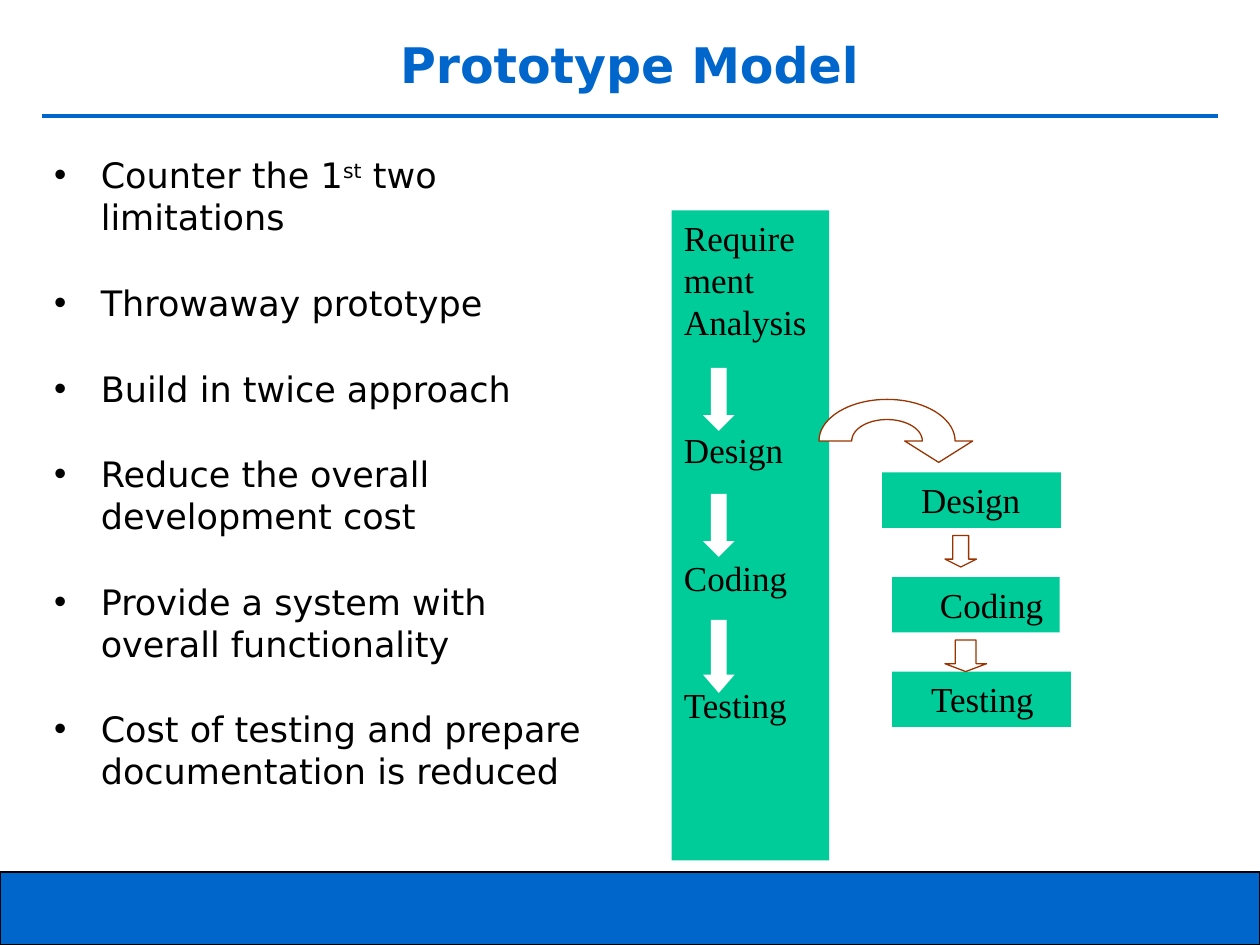
import math

import lxml.etree
import pptx
import pptx.dml.color
import pptx.enum.shapes
import pptx.enum.text
import pptx.oxml.ns
import pptx.util
from pptx.util import Inches, Pt

RGBColor = pptx.dml.color.RGBColor
Shape = pptx.enum.shapes.MSO_SHAPE
Align = pptx.enum.text.PP_ALIGN
Anchor = pptx.enum.text.MSO_ANCHOR

BLUE = RGBColor(0x00, 0x66, 0xCC)
GREEN = RGBColor(0x00, 0xCC, 0x99)
BROWN = RGBColor(0x99, 0x33, 0x00)
WHITE = RGBColor(0xFF, 0xFF, 0xFF)
BLACK = RGBColor(0x00, 0x00, 0x00)
HEADING_FONT = "DejaVu Sans"
DIAGRAM_FONT = "Times New Roman"

TITLE = "Prototype Model"
# Each bullet is a list of (text, is superscript) runs.
BULLETS = [
    [("Counter the 1", False), ("st", True), (" two limitations", False)],
    [("Throwaway prototype", False)],
    [("Build in twice approach", False)],
    [("Reduce the overall development cost", False)],
    [("Provide a system with overall functionality", False)],
    [("Cost of testing and prepare documentation is reduced", False)],
]
# Boxes: left, top, width, height, left inset, lines of text.
BOXES = [
    (5.33, 1.67, 1.25, 5.16, 0.1,
     ["Requirement Analysis", "Design", "Coding", "Testing"]),
    (7, 3.75, 1.42, 0.44, 0.31, ["Design"]),
    (7.08, 4.58, 1.33, 0.44, 0.38, ["Coding"]),
    (7.08, 5.33, 1.42, 0.44, 0.31, ["Testing"]),
]
# Down arrows: left, top, width, height, head length / width, outline.
ARROWS = [
    (7.5, 4.25, 0.25, 0.25, 0.25, BROWN),
    (7.5, 5.08, 0.33, 0.25, 0.25, BROWN),
    (5.58, 2.92, 0.25, 0.5, 0.5, None),
    (5.58, 3.92, 0.25, 0.5, 0.5, None),
    (5.58, 4.92, 0.25, 0.58, 0.58, None),
]


def place(shape, left, top, width, height):
    shape.left, shape.top = Inches(left), Inches(top)
    shape.width, shape.height = Inches(width), Inches(height)


def style(shape, fill, outline=None):
    shape.shadow.inherit = False
    shape.fill.solid()
    shape.fill.fore_color.rgb = fill
    if outline is None:
        shape.line.fill.background()
    else:
        shape.line.color.rgb = outline
        shape.line.width = Pt(0.75)


def add_run(paragraph, text, font, size, color, bold=False):
    run = paragraph.add_run()
    run.text = text
    run.font.name, run.font.size, run.font.bold = font, Pt(size), bold
    run.font.color.rgb = color
    return run


def add_paragraph(frame, index, before, after=0):
    """Return paragraph number index, with space before all but the first."""
    paragraph = frame.add_paragraph() if index else frame.paragraphs[0]
    paragraph.line_spacing = Pt(24)
    paragraph.space_before = Pt(before if index else 0)
    paragraph.space_after = Pt(after)
    return paragraph


def add_master_decor(slide):
    band = slide.shapes.add_shape(
        Shape.RECTANGLE, 0, Inches(6.92), Inches(10), Inches(0.58))
    style(band, BLUE, BLACK)
    rule = slide.shapes.add_connector(
        pptx.enum.shapes.MSO_CONNECTOR.STRAIGHT,
        Inches(0.33), Inches(0.92), Inches(9.67), Inches(0.92))
    rule.line.color.rgb = BLUE
    rule.line.width = Pt(2.25)
    lxml.etree.SubElement(rule._element.spPr, pptx.oxml.ns.qn("a:effectLst"))


def fill_title(title):
    place(title, 0.33, 0.17, 9.33, 0.67)
    title.text_frame.vertical_anchor = Anchor.MIDDLE
    paragraph = title.text_frame.paragraphs[0]
    paragraph.alignment = Align.CENTER
    add_run(paragraph, TITLE, HEADING_FONT, 28, BLUE, bold=True)


def fill_bullets(body):
    place(body, 0.33, 1.17, 4.58, 5.58)
    frame = body.text_frame
    frame.auto_size = pptx.enum.text.MSO_AUTO_SIZE.NONE
    for index, runs in enumerate(BULLETS):
        paragraph = add_paragraph(frame, index, 18.7, 6.2)
        properties = paragraph._p.get_or_add_pPr()
        properties.set("marL", str(Inches(0.37)))
        properties.set("indent", str(-Inches(0.37)))
        for text, superscript in runs:
            run = add_run(paragraph, text, HEADING_FONT, 20, BLACK)
            if superscript:
                run._r.get_or_add_rPr().set("baseline", "30000")


def add_box(slide, left, top, width, height, inset, lines):
    box = slide.shapes.add_shape(
        Shape.RECTANGLE, Inches(left), Inches(top), Inches(width), Inches(height))
    style(box, GREEN)
    frame = box.text_frame
    frame.word_wrap = True
    frame.vertical_anchor = Anchor.TOP
    frame.margin_left = Inches(inset)
    for index, line in enumerate(lines):
        paragraph = add_paragraph(frame, index, 49)
        paragraph.alignment = Align.LEFT
        add_run(paragraph, line, DIAGRAM_FONT, 20, BLACK)


def half_ellipse(radius_x, radius_y, steps=36):
    """Return points of the upper half around (7.04, 3.5), left to right."""
    angles = [math.pi * (1 - step / steps) for step in range(steps + 1)]
    return [(7.04 + radius_x * math.cos(angle), 3.5 - radius_y * math.sin(angle))
            for angle in angles]


def add_curved_arrow(slide):
    head = [(7.72, 3.5), (7.45, 3.67), (7.18, 3.5)]
    inner = half_ellipse(0.28, 0.17)[::-1]
    outline = half_ellipse(0.54, 0.33) + head + inner
    points = [(Inches(x), Inches(y)) for x, y in outline]
    builder = slide.shapes.build_freeform(*points[0])
    builder.add_line_segments(points[1:], close=True)
    style(builder.convert_to_shape(), WHITE, BROWN)


def add_down_arrow(slide, left, top, width, height, head, outline):
    arrow = slide.shapes.add_shape(
        Shape.DOWN_ARROW, Inches(left), Inches(top), Inches(width), Inches(height))
    arrow.adjustments[0], arrow.adjustments[1] = 0.5, head
    style(arrow, WHITE, outline)


def main():
    presentation = pptx.Presentation()
    presentation.slide_width, presentation.slide_height = Inches(10), Inches(7.5)
    slide = presentation.slides.add_slide(presentation.slide_layouts[1])
    add_master_decor(slide)
    fill_title(slide.shapes.title)
    fill_bullets(slide.placeholders[1])
    for box in BOXES:
        add_box(slide, *box)
    add_curved_arrow(slide)
    for arrow in ARROWS:
        add_down_arrow(slide, *arrow)
    presentation.save("out.pptx")


if __name__ == "__main__":
    main()
